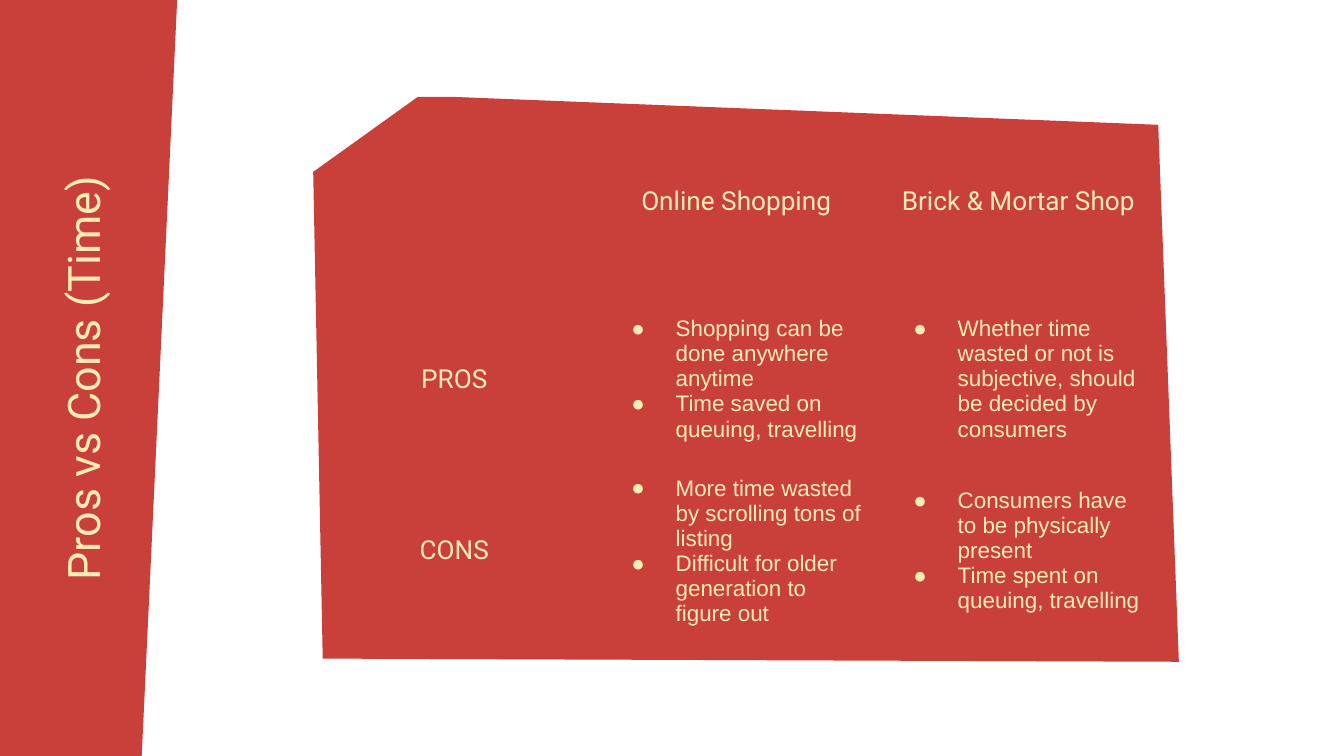
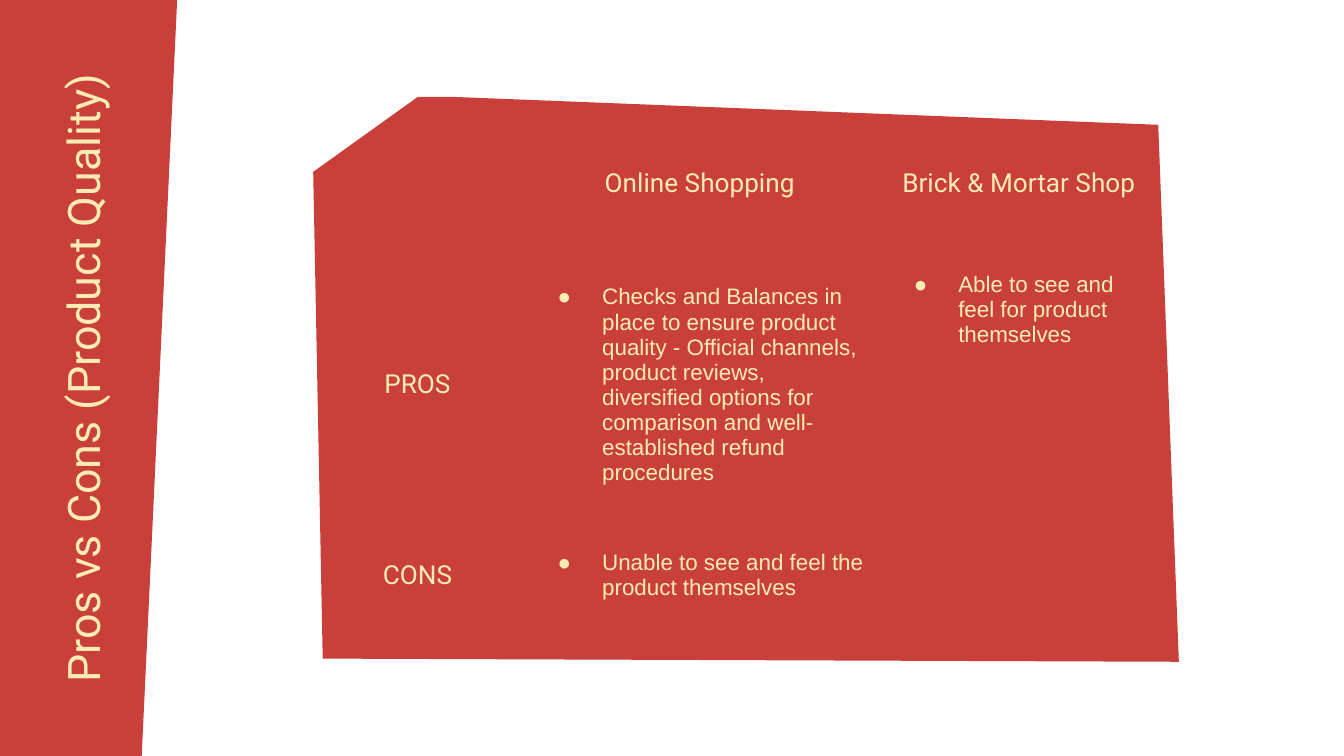
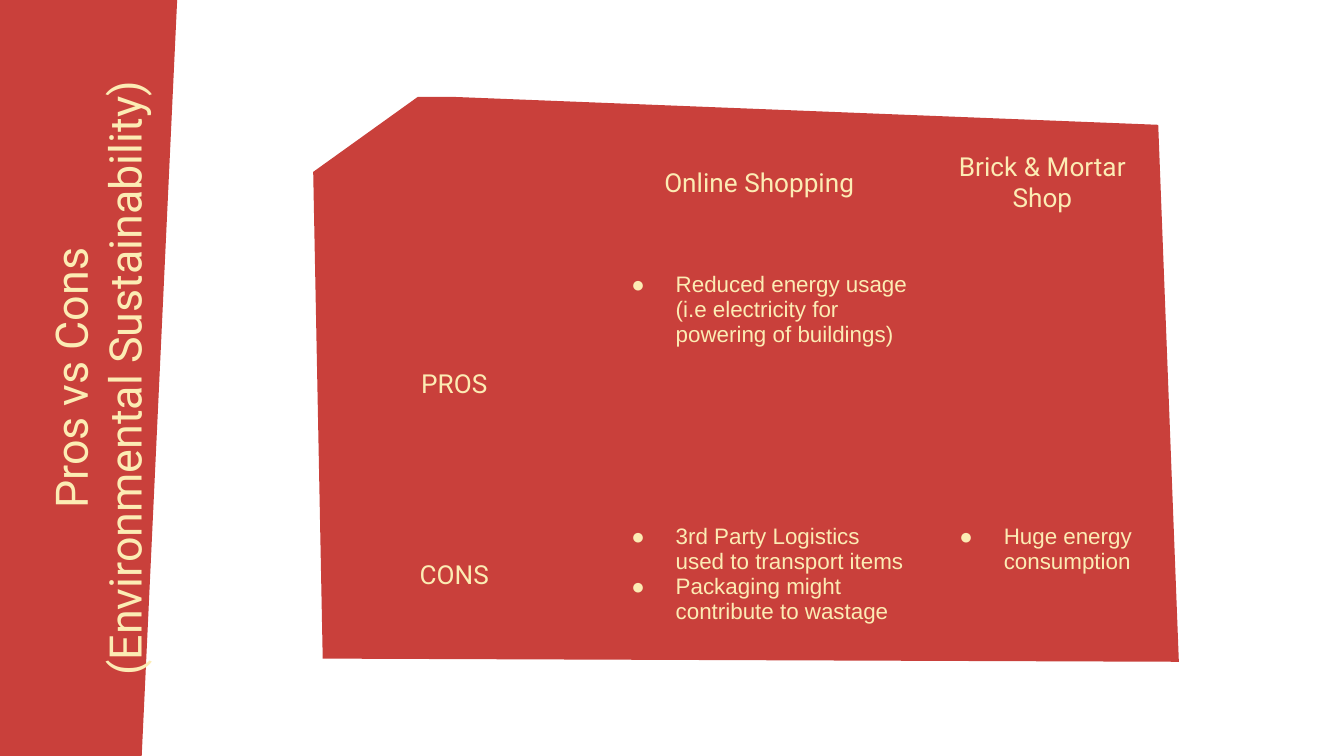
import lxml.etree
import pptx
import pptx.dml.color
import pptx.enum.shapes
import pptx.enum.text
import pptx.oxml.ns
import pptx.util

Cm = pptx.util.Cm
qn = pptx.oxml.ns.qn
MIDDLE = pptx.enum.text.MSO_ANCHOR.MIDDLE
TOP = pptx.enum.text.MSO_ANCHOR.TOP
CENTER = pptx.enum.text.PP_ALIGN.CENTER
PLAIN_STYLE = "{2D5ABB26-0587-4C30-8999-92F81FD0307C}"

COLORS = {"red": "C9403B", "cream": "FCECB4"}
WIDE, HIGH = 25.4, 14.29
BAND = 3.35
INSET = 0.25
PANEL = [(7.9, 1.83), (8.51, 1.83), (21.89, 2.36),
         (22.28, 12.51), (6.1, 12.45), (5.92, 3.25)]
HEADS = ["", "Online Shopping", "Brick & Mortar Shop"]

# Per slide: title, title left, columns, rows, pros, cons, top-anchored cells
PAGES = [
    ("Pros vs Cons (Time)", -5.61, [5.33, 5.33, 5.33], [3.56, 3.15, 3.05],
     [["Shopping can be done anywhere anytime",
       "Time saved on queuing, travelling"],
      ["Whether time wasted or not is subjective, should be decided by consumers"]],
     [["More time wasted by scrolling tons of listing",
       "Difficult for older generation to figure out"],
      ["Consumers have to be physically present",
       "Time spent on queuing, travelling"]],
     []),
    ("Pros vs Cons (Product Quality)", -5.61, [3.94, 6.73, 5.33], [2.87, 4.75, 2.46],
     [["Checks and Balances in place to ensure product quality - Official channels, "
       "product reviews, diversified options for comparison and well-established "
       "refund procedures"],
      ["Able to see and feel for product themselves"]],
     [["Unable to see and feel the product themselves"], []],
     [(1, 2)]),
    ("Pros vs Cons\n(Environmental Sustainability)", -5.84,
     [5.33, 6.2, 4.5], [2.87, 4.75, 2.46],
     [["Reduced energy usage (i.e electricity for powering of buildings)"], []],
     [["3rd Party Logistics used to transport items",
       "Packaging might contribute to wastage"],
      ["Huge energy consumption"]],
     [(1, 1), (2, 1), (2, 2)]),
]


def style(para, size, face):
    for run in para.runs:
        run.font.size = pptx.util.Pt(size)
        run.font.name = face
        run.font.color.rgb = pptx.dml.color.RGBColor.from_string(COLORS["cream"])


def bullet(para):
    props = para._p.get_or_add_pPr()
    props.set("marL", str(Cm(1.27)))
    props.set("indent", str(Cm(-0.84)))
    tint = lxml.etree.SubElement(props, qn("a:buClr"))
    lxml.etree.SubElement(tint, qn("a:srgbClr"), val=COLORS["cream"])
    lxml.etree.SubElement(props, qn("a:buFont"), typeface="Arial")
    lxml.etree.SubElement(props, qn("a:buChar"), char="●")


deck = pptx.Presentation()
deck.slide_width, deck.slide_height = Cm(WIDE), Cm(HIGH)

for name, left, cols, rows, pros, cons, tops in PAGES:
    slide = deck.slides.add_slide(deck.slide_layouts[5])
    shapes = slide.shapes

    points = [(Cm(x), Cm(y)) for x, y in PANEL]
    pen = shapes.build_freeform(*points[0])
    pen.add_line_segments(points[1:], close=True)
    panel = pen.convert_to_shape()

    # The band lies on its side, so its width runs down the slide
    band = shapes.add_shape(
        pptx.enum.shapes.MSO_SHAPE.FLOWCHART_MANUAL_INPUT,
        Cm((BAND - HIGH) / 2), Cm((HIGH - BAND) / 2), Cm(HIGH), Cm(BAND))
    band.rotation = 90
    band.element.spPr.find(qn("a:xfrm")).set("flipH", "1")

    for shape in (panel, band):
        shape.shadow.inherit = False
        shape.fill.solid()
        shape.fill.fore_color.rgb = pptx.dml.color.RGBColor.from_string(COLORS["red"])
        shape.line.fill.background()

    title = shapes.title
    shapes.element.append(title.element)
    title.left, title.top = Cm(left), Cm(6.3)
    title.width, title.height = Cm(HIGH), Cm(1.7)
    title.rotation = 270
    frame = title.text_frame
    frame.text = name
    frame.word_wrap = True
    frame.auto_size = pptx.enum.text.MSO_AUTO_SIZE.NONE
    frame.vertical_anchor = TOP
    frame.margin_left = frame.margin_right = frame.margin_bottom = Cm(INSET)
    frame.margin_top = Cm(0.36)
    for para in frame.paragraphs:
        para.alignment = CENTER
        style(para, 24, "Roboto")

    table = shapes.add_table(3, 3, Cm(5.92), Cm(2.03),
                             Cm(sum(cols)), Cm(sum(rows))).table
    table.first_row = table.horz_banding = False
    table._tbl.tblPr.find(qn("a:tableStyleId")).text = PLAIN_STYLE
    for col, width in zip(table.columns, cols):
        col.width = Cm(width)
    for row, height in zip(table.rows, rows):
        row.height = Cm(height)

    grid = [HEADS, ["PROS"] + pros, ["CONS"] + cons]
    for r, line in enumerate(grid):
        for c, text in enumerate(line):
            cell = table.cell(r, c)
            cell.fill.background()
            if not text:
                continue
            cell.vertical_anchor = TOP if (r, c) in tops else MIDDLE
            cell.margin_left = cell.margin_right = Cm(INSET)
            cell.margin_top = cell.margin_bottom = Cm(INSET)
            listed = isinstance(text, list)
            cell.text_frame.text = "\n".join(text) if listed else text
            for para in cell.text_frame.paragraphs:
                if listed:
                    bullet(para)
                    style(para, 12, "Arial")
                else:
                    para.alignment = CENTER
                    style(para, 14, "Roboto")

deck.save("out.pptx")
